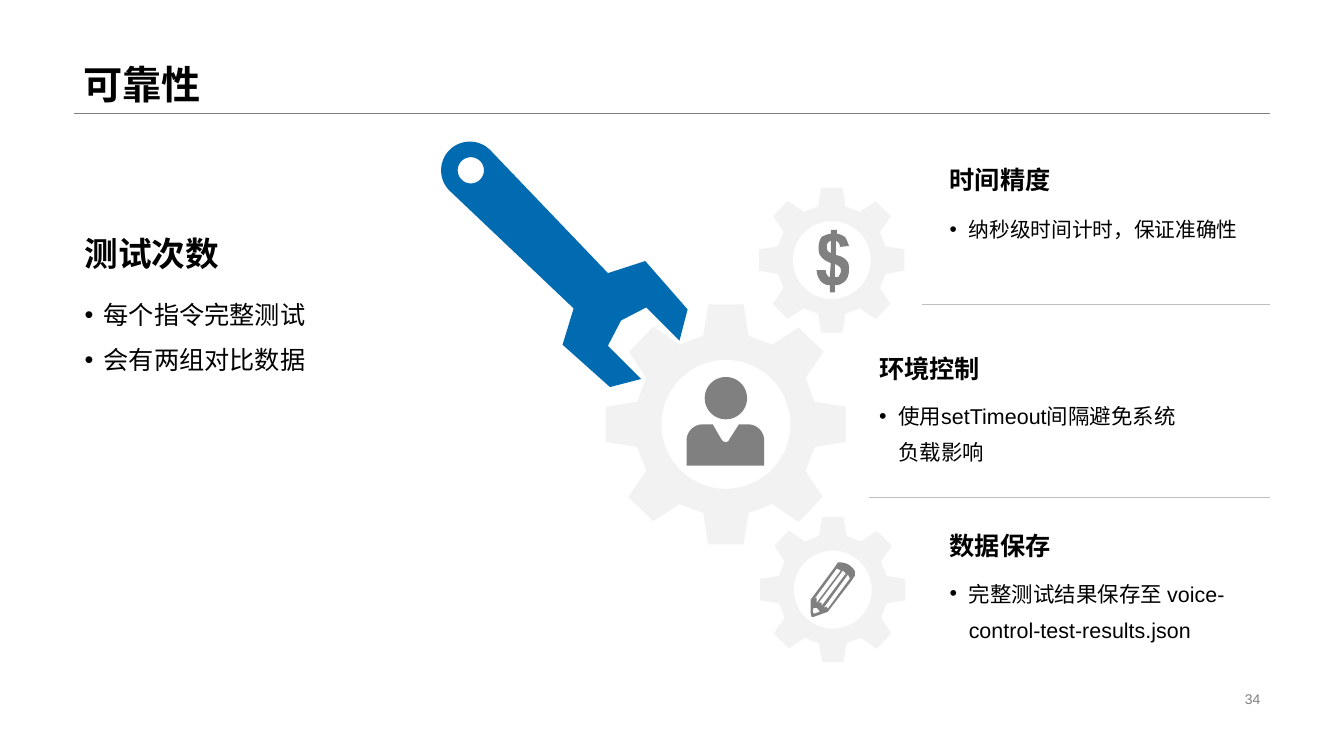
"""Build the reliability slide: a wrench, three gears and the text around them."""
from dataclasses import dataclass
from math import cos, radians, sin

from lxml import etree
from pptx import Presentation
from pptx.dml.color import RGBColor
from pptx.enum.shapes import MSO_CONNECTOR
from pptx.enum.text import MSO_ANCHOR, PP_ALIGN
from pptx.oxml.ns import qn
from pptx.util import Inches, Pt

STRAIGHT = MSO_CONNECTOR.STRAIGHT
TOP, MIDDLE, BOTTOM = MSO_ANCHOR.TOP, MSO_ANCHOR.MIDDLE, MSO_ANCHOR.BOTTOM
LEFT, RIGHT = PP_ALIGN.LEFT, PP_ALIGN.RIGHT


@dataclass(frozen=True)
class Theme:
    """Font, colours and type sizes of the slide."""
    font: str = "Arial"
    ink: str = "000000"
    gray: str = "808080"
    rule: str = "BFBFBF"
    gear: str = "F2F2F2"
    wrench: str = "006BB1"
    title: float = 28
    lead: float = 24
    heading: float = 18
    body: float = 15.3
    body_small: float = 14.8
    number: float = 10


THEME = Theme()

GEAR_QUADRANT = [(0.175, 1.19), (0.225, 0.88), (0.46, 0.79), (0.72, 0.97),
                 (0.96, 0.72), (0.79, 0.46), (0.88, 0.225), (1.19, 0.175)]
GEAR_HOLE = 0.64

WRENCH_JAW = [(6.03, 2.71), (6.4, 2.59), (6.82, 3.07), (6.74, 3.38), (6.41, 3.05),
              (6.16, 3.18), (6.03, 3.43), (6.36, 3.76), (6.05, 3.84), (5.58, 3.42),
              (5.69, 3.06)]

DOLLAR = [
    [(8.23, 2.75), (8.24, 2.61), (8.19, 2.59, 8.16, 2.57, 8.14, 2.54),
     (8.12, 2.52, 8.12, 2.49, 8.12, 2.45), (8.12, 2.41, 8.13, 2.38, 8.15, 2.35),
     (8.17, 2.34, 8.21, 2.32, 8.24, 2.32), (8.24, 2.28), (8.3, 2.28), (8.3, 2.32),
     (8.33, 2.32, 8.36, 2.34, 8.38, 2.35), (8.4, 2.38, 8.41, 2.41, 8.42, 2.44),
     (8.33, 2.45), (8.33, 2.42, 8.32, 2.4, 8.29, 2.39), (8.29, 2.53),
     (8.34, 2.54, 8.38, 2.56, 8.4, 2.59), (8.42, 2.61, 8.42, 2.64, 8.42, 2.68),
     (8.42, 2.72, 8.41, 2.75, 8.39, 2.78), (8.36, 2.81, 8.33, 2.83, 8.28, 2.83),
     (8.28, 2.9), (8.23, 2.9), (8.23, 2.83), (8.19, 2.83, 8.16, 2.81, 8.14, 2.79),
     (8.12, 2.76, 8.1, 2.73, 8.1, 2.68), (8.19, 2.68),
     (8.19, 2.69, 8.19, 2.71, 8.2, 2.72), (8.21, 2.74, 8.22, 2.75, 8.23, 2.75)],
    [(8.24, 2.39), (8.23, 2.39, 8.22, 2.4, 8.21, 2.41),
     (8.2, 2.43, 8.2, 2.43, 8.2, 2.45), (8.2, 2.46, 8.2, 2.47, 8.21, 2.49),
     (8.21, 2.49, 8.23, 2.51, 8.24, 2.51)],
    [(8.28, 2.75), (8.3, 2.75, 8.32, 2.75, 8.32, 2.74),
     (8.33, 2.72, 8.34, 2.71, 8.34, 2.69), (8.34, 2.68, 8.34, 2.66, 8.33, 2.65),
     (8.32, 2.64, 8.31, 2.63, 8.28, 2.62)],
]

PENCIL = [
    [(8.43, 5.61), (8.39, 5.59), (8.35, 5.58), (8.31, 5.58), (8.27, 5.64), (8.04, 5.95),
     (8.04, 6.08), (8.05, 6.12), (8.07, 6.12), (8.21, 6.07), (8.44, 5.77), (8.48, 5.71),
     (8.48, 5.67), (8.46, 5.64)],
    [(8.21, 6.04), (8.2, 6.02), (8.17, 6.03), (8.41, 5.7), (8.43, 5.74)],
    [(8.15, 6.01), (8.15, 5.98), (8.12, 5.98), (8.36, 5.66), (8.39, 5.69)],
    [(8.3, 5.64), (8.34, 5.66), (8.1, 5.98), (8.1, 5.93), (8.08, 5.94)],
    [(8.13, 6.07), (8.07, 6.09), (8.06, 6.06), (8.07, 6.03), (8.1, 6.03), (8.12, 6.05)],
]


def arc(x, y, radius, start=0, end=360):
    """Return points along a circular arc, angles running clockwise."""
    steps = max(8, (end - start) // 6)
    angles = [radians(start + (end - start) * i / steps) for i in range(steps + 1)]
    return [(x + radius * cos(a), y + radius * sin(a)) for a in angles]


def flatten(segments, steps=6):
    """Turn points and six-number cubic curves into plain points."""
    points = []
    for segment in segments:
        if len(segment) == 2:
            points.append(segment)
            continue
        controls = [points[-1], segment[:2], segment[2:4], segment[4:]]
        for i in range(1, steps + 1):
            t = i / steps
            weights = [(1 - t) ** 3, 3 * t * (1 - t) ** 2, 3 * t * t * (1 - t), t ** 3]
            points.append(tuple(sum(w * c[axis] for w, c in zip(weights, controls))
                                for axis in (0, 1)))
    return points


def add_outline(slide, contours, color):
    """Draw closed contours as one filled freeform."""
    contours = [[(Inches(x), Inches(y)) for x, y in contour] for contour in contours]
    builder = slide.shapes.build_freeform(*contours[0][0])
    builder.add_line_segments(contours[0][1:])
    for contour in contours[1:]:
        builder.move_to(*contour[0])
        builder.add_line_segments(contour[1:])
    outline = builder.convert_to_shape()
    outline.shadow.inherit = False
    outline.fill.solid()
    outline.fill.fore_color.rgb = RGBColor.from_string(color)
    outline.line.fill.background()


def add_gear(slide, x, y, scale=1.0):
    """Draw an eight-toothed gear with a round hole."""
    teeth, quadrant = [], GEAR_QUADRANT
    for _ in range(4):
        teeth += quadrant
        quadrant = [(dy, -dx) for dx, dy in quadrant]
    rim = [(x + dx * scale, y + dy * scale) for dx, dy in teeth]
    add_outline(slide, [rim, arc(x, y, GEAR_HOLE * scale)], THEME.gear)


def add_wrench(slide):
    """Draw the wrench with the hole in its handle."""
    handle_end = arc(4.66, 1.69, 0.285, 135, 315)
    add_outline(slide, [handle_end + WRENCH_JAW, arc(4.67, 1.69, 0.13)], THEME.wrench)


def add_person(slide):
    """Draw a head and shoulders with an open collar."""
    collar = flatten([(7.07, 4.21), (7.15, 4.35), (7.18, 4.4, 7.22, 4.4, 7.24, 4.35),
                      (7.33, 4.21)])
    body = (arc(6.97, 4.37, 0.16, 180, 270) + collar
            + arc(7.42, 4.37, 0.16, 270, 360) + [(7.58, 4.62), (6.81, 4.62)])
    add_outline(slide, [arc(7.2, 3.95, 0.21), body], THEME.gray)


def add_rule(slide, left, y, color):
    """Draw a thin horizontal rule to the right margin."""
    rule = slide.shapes.add_connector(STRAIGHT, Inches(left), Inches(y), Inches(12.6), Inches(y))
    rule.line.color.rgb = RGBColor.from_string(color)
    rule.line.width = Pt(0.25)
    etree.SubElement(rule._element.spPr, qn("a:effectLst"))


def add_text(slide, box, lines, size, color=THEME.ink, bold=False, anchor=TOP,
             align=LEFT, spacing=1.0, bullets=False):
    """Add a text box with one paragraph per line."""
    frame = slide.shapes.add_textbox(*map(Inches, box)).text_frame
    frame.word_wrap = True
    frame.vertical_anchor = anchor
    for index, line in enumerate(lines):
        paragraph = frame.add_paragraph() if index else frame.paragraphs[0]
        paragraph.text = line
        paragraph.alignment = align
        paragraph.line_spacing = spacing
        if bullets:
            properties = paragraph._p.get_or_add_pPr()
            properties.set("marL", str(Inches(0.19)))
            properties.set("indent", str(-Inches(0.19)))
            etree.SubElement(properties, qn("a:buFont")).set("typeface", THEME.font)
            etree.SubElement(properties, qn("a:buChar")).set("char", "•")
        paragraph.font.name = THEME.font
        paragraph.font.size = Pt(size)
        paragraph.font.bold = bold
        paragraph.font.color.rgb = RGBColor.from_string(color)


def add_topic(slide, left, top, heading, detail, size, spacing):
    """Add a heading with one bullet under it."""
    add_text(slide, (left, top, 3.27, 0.48), [heading], THEME.heading, bold=True, anchor=BOTTOM)
    add_text(slide, (left, top + 0.48, 3.27, 0.77), [detail], size, spacing=spacing, bullets=True)


def main():
    """Build and save the slide."""
    deck = Presentation()
    deck.slide_width, deck.slide_height = Inches(13.33), Inches(7.5)
    slide = deck.slides.add_slide(deck.slide_layouts[6])

    add_rule(slide, 0.73, 1.12, THEME.gray)
    add_text(slide, (0.73, 0, 11.87, 1.12), ["可靠性"], THEME.title, bold=True,
             anchor=BOTTOM, spacing=0.9)
    add_text(slide, (9.42, 6.82, 3.18, 0.23), ["34"], THEME.number, THEME.gray,
             anchor=MIDDLE, align=RIGHT)

    for x, y, scale in [(8.26, 5.85, 0.605), (8.25, 2.58, 0.605), (7.2, 4.21, 1)]:
        add_gear(slide, x, y, scale)
    add_person(slide)
    add_wrench(slide)
    for icon in (DOLLAR, PENCIL):
        add_outline(slide, [flatten(contour + contour[:1]) for contour in icon], THEME.gray)

    add_text(slide, (0.74, 2.28, 3.93, 0.48), ["测试次数"], THEME.lead, bold=True,
             anchor=BOTTOM, spacing=0.9)
    add_text(slide, (0.74, 2.77, 3.93, 0.95), ["每个指令完整测试", "会有两组对比数据"],
             THEME.heading, spacing=1.5, bullets=True)
    add_topic(slide, 9.32, 1.5, "时间精度", "纳秒级时间计时，保证准确性", THEME.body_small, 1.5)
    add_topic(slide, 8.62, 3.37, "环境控制", "使用setTimeout间隔避免系统负载影响", THEME.body, 1.4)
    add_topic(slide, 9.32, 5.13, "数据保存", "完整测试结果保存至 voice-control-test-results.json",
              THEME.body, 1.4)
    add_rule(slide, 9.14, 3.02, THEME.rule)
    add_rule(slide, 8.62, 4.93, THEME.rule)
    deck.save("out.pptx")


if __name__ == "__main__":
    main()
